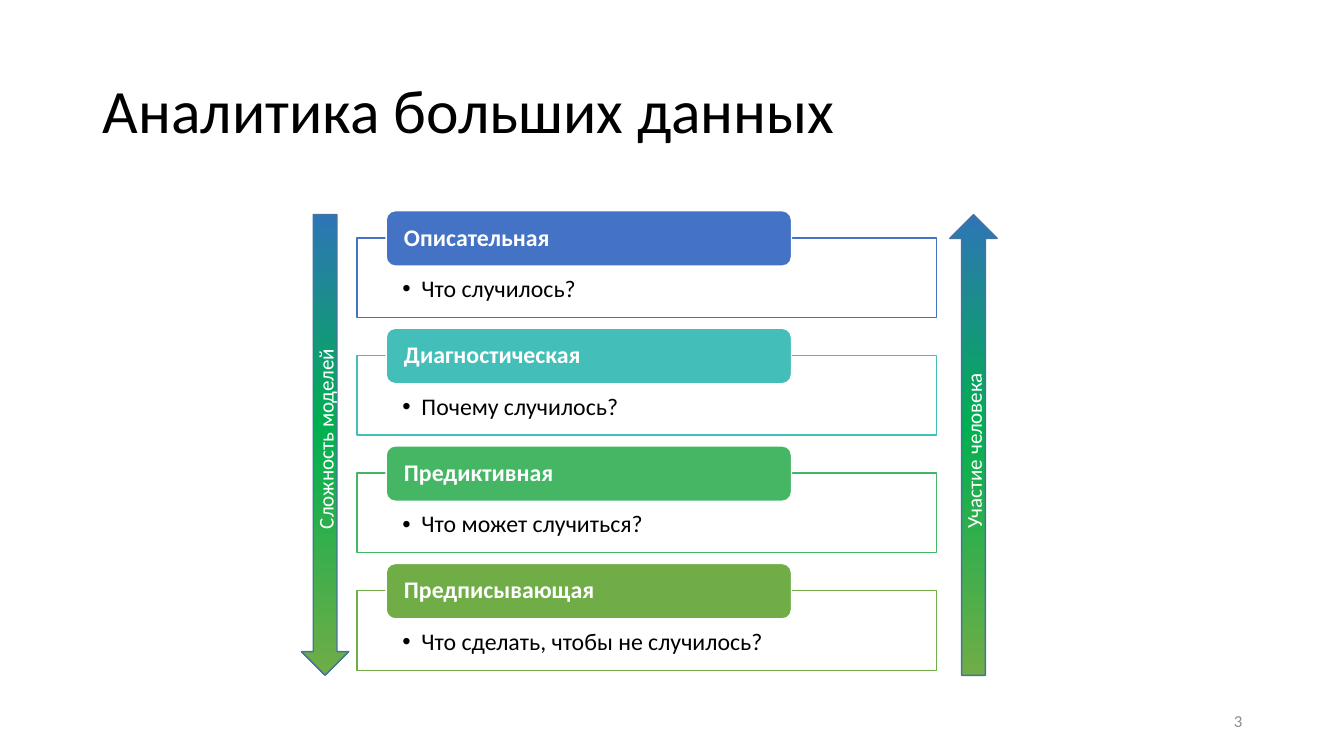
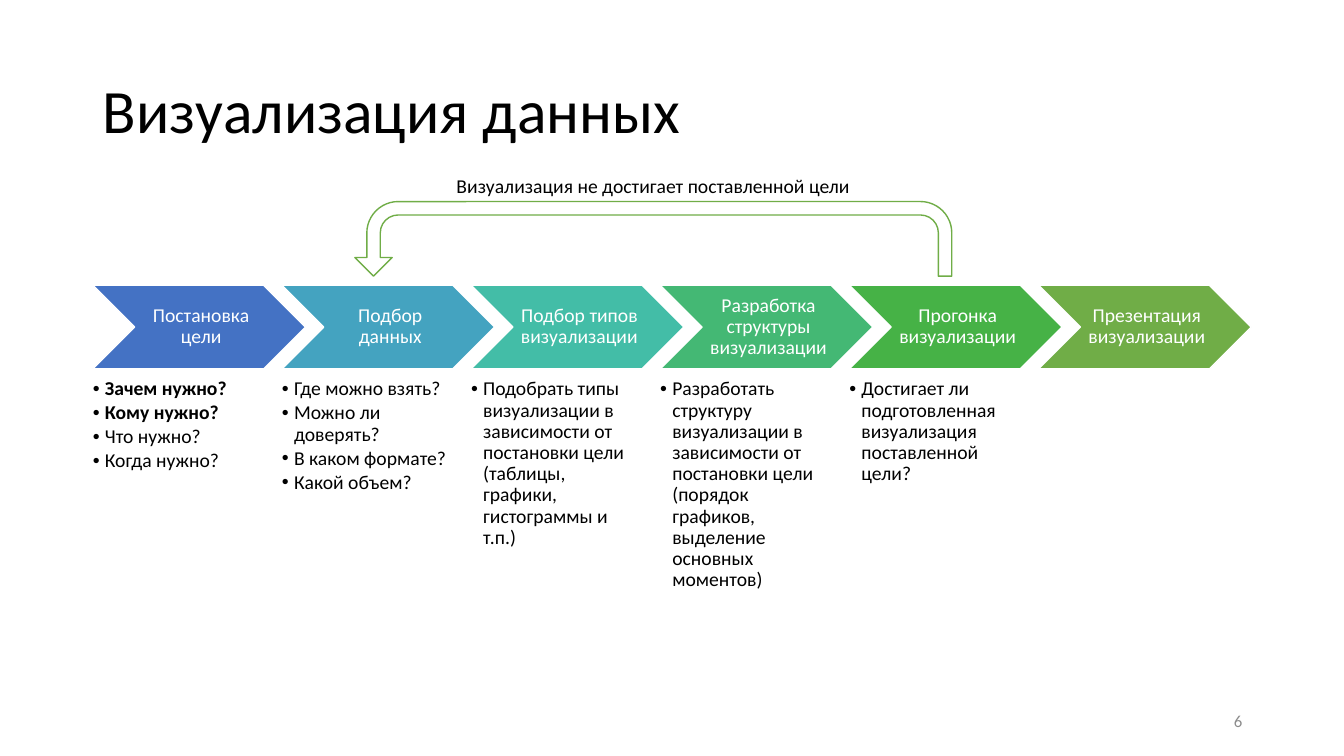
from dataclasses import dataclass

from lxml.etree import SubElement
from pptx import Presentation
from pptx.dml.color import RGBColor
from pptx.enum.shapes import MSO_SHAPE
from pptx.enum.text import MSO_ANCHOR, PP_ALIGN
from pptx.oxml.ns import qn
from pptx.util import Inches, Pt

LEFT, CENTER, RIGHT = PP_ALIGN.LEFT, PP_ALIGN.CENTER, PP_ALIGN.RIGHT
TOP, MIDDLE = MSO_ANCHOR.TOP, MSO_ANCHOR.MIDDLE
RECTANGLE, ROUNDED = MSO_SHAPE.RECTANGLE, MSO_SHAPE.ROUNDED_RECTANGLE
CHEVRON, DOWN_ARROW = MSO_SHAPE.CHEVRON, MSO_SHAPE.DOWN_ARROW
U_TURN_ARROW = MSO_SHAPE.U_TURN_ARROW


@dataclass(frozen=True)
class Theme:
    font: str = "Calibri"
    black: str = "000000"
    white: str = "FFFFFF"
    gray: str = "8C8C8C"
    green: str = "70AD47"
    arrow_line: str = "43739E"
    arrow_gradient: tuple = ((0, "2E75B6"), (46, "00B050"), (100, "70AD47"))
    level_colors: tuple = ("4472C4", "43BEB9", "45B664", "70AD47")
    step_colors: tuple = ("4472C4", "44A3C0", "43BDA7", "44B874", "46B246", "70AD47")
    title_size: int = 44
    level_size: int = 17
    arrow_size: int = 15
    step_size: int = 14
    number_size: int = 12


THEME = Theme()


def add_shape(slide, kind, box, fill, line):
    shape = slide.shapes.add_shape(kind, *map(Inches, box))
    shape.shadow.inherit = False
    if fill:
        shape.fill.solid()
        shape.fill.fore_color.rgb = RGBColor.from_string(fill)
    shape.line.color.rgb = RGBColor.from_string(line)
    shape.line.width = Pt(1)
    return shape


def write_text(shape, lines, size, color, align=LEFT, anchor=MIDDLE,
               margins=(0.1, 0.05, 0.1, 0.05), spacing=0.9, bold=0, hanging=0):
    frame = shape.text_frame
    frame.word_wrap = True
    frame.vertical_anchor = anchor
    frame.margin_left, frame.margin_top, frame.margin_right, frame.margin_bottom = map(Inches, margins)
    frame.text = "\n".join(lines)
    for index, paragraph in enumerate(frame.paragraphs):
        paragraph.alignment = align
        paragraph.line_spacing = spacing
        font = paragraph.font
        font.name, font.size, font.bold = THEME.font, Pt(size), index < bold
        font.color.rgb = RGBColor.from_string(color)
        if hanging:
            paragraph.space_after = Pt(2)
            properties = paragraph._p.get_or_add_pPr()
            properties.set("marL", str(Inches(hanging)))
            properties.set("indent", str(-Inches(hanging)))
            SubElement(properties, qn("a:buFont"), typeface="Arial")
            SubElement(properties, qn("a:buChar"), char="•")
            properties.append(properties.find(qn("a:defRPr")))


presentation = Presentation()
presentation.slide_width, presentation.slide_height = Inches(13.33), Inches(7.5)

slides = []
for title_text, number in (("Аналитика больших данных", "3"), ("Визуализация данных", "6")):
    slide = presentation.slides.add_slide(presentation.slide_layouts[5])
    title = slide.shapes.title
    title.left, title.top, title.width, title.height = map(Inches, (0.92, 0.4, 11.5, 1.45))
    write_text(title, [title_text], THEME.title_size, THEME.black)
    number_box = slide.shapes.add_textbox(*map(Inches, (9.42, 6.95, 3, 0.4)))
    write_text(number_box, [number], THEME.number_size, THEME.gray, RIGHT, spacing=1)
    slides.append(slide)
analytics, visualization = slides

levels = (
    ("Описательная", "Что случилось?"),
    ("Диагностическая", "Почему случилось?"),
    ("Предиктивная", "Что может случиться?"),
    ("Предписывающая", "Что сделать, чтобы не случилось?"),
)
level_pitch = 3.5 / 3
for index, ((heading, question), color) in enumerate(zip(levels, THEME.level_colors)):
    top = 2.09 + index * level_pitch
    panel = add_shape(analytics, RECTANGLE, (3.54, top + 0.27, 5.75, 0.79), THEME.white, color)
    write_text(panel, [question], THEME.level_size, THEME.black, anchor=TOP,
               margins=(0.45, 0.39, 0.45, 0.13), hanging=0.19)
    tab = add_shape(analytics, ROUNDED, (3.83, top, 4.02, 0.55), color, THEME.white)
    write_text(tab, [heading], THEME.level_size, THEME.white, margins=(0.15, 0, 0.15, 0), bold=1)

arrows = (
    ("Сложность моделей", 2.99, 0, "vert270", 90),
    ("Участие человека", 9.42, 180, "vert", 270),
)
for label, left, rotation, direction, angle in arrows:
    arrow = add_shape(analytics, DOWN_ARROW, (left, 2.13, 0.47, 4.57), None, THEME.arrow_line)
    arrow.rotation = rotation
    write_text(arrow, [label], THEME.arrow_size, THEME.white, CENTER, spacing=1)
    arrow.text_frame._txBody.bodyPr.set("vert", direction)
    properties = arrow._element.spPr
    gradient = SubElement(properties, qn("a:gradFill"), rotWithShape="1")
    stops = SubElement(gradient, qn("a:gsLst"))
    for position, color in THEME.arrow_gradient:
        stop = SubElement(stops, qn("a:gs"), pos=str(position * 1000))
        SubElement(stop, qn("a:srgbClr"), val=color)
    SubElement(gradient, qn("a:lin"), ang=str(angle * 60000), scaled="0")
    properties.find(qn("a:prstGeom")).addnext(gradient)

steps = (
    ("Постановка цели", ["Зачем нужно?", "Кому нужно?", "Что нужно?", "Когда нужно?"], 2),
    ("Подбор данных",
     ["Где можно взять?", "Можно ли доверять?", "В каком формате?", "Какой объем?"], 0),
    ("Подбор типов визуализации",
     ["Подобрать типы визуализации в зависимости от постановки цели "
      "(таблицы, графики, гистограммы и т.п.)"], 0),
    ("Разработка структуры визуализации",
     ["Разработать структуру визуализации в зависимости от постановки цели "
      "(порядок графиков, выделение основных моментов)"], 0),
    ("Прогонка визуализации",
     ["Достигает ли подготовленная визуализация поставленной цели?"], 0),
    ("Презентация визуализации", [], 0),
)
step_pitch = 9.38 / 5
for index, ((heading, details, bold_count), color) in enumerate(zip(steps, THEME.step_colors)):
    left = 0.92 + index * step_pitch
    chevron = add_shape(visualization, CHEVRON, (left, 2.83, 2.11, 0.83), color, THEME.white)
    write_text(chevron, [heading], THEME.step_size, THEME.white, CENTER,
               margins=(0.06, 0.02, 0.02, 0.02))
    if details:
        detail_box = visualization.shapes.add_textbox(*map(Inches, (left, 3.76, 1.69, 2.16)))
        write_text(detail_box, details, THEME.step_size, THEME.black, anchor=TOP,
                   margins=(0, 0, 0, 0), bold=bold_count, hanging=0.12)

return_arrow = add_shape(visualization, U_TURN_ARROW, (3.52, 2, 5.92, 0.74), THEME.white, THEME.green)
for index, value in enumerate((0.18, 0.25, 0.25, 0.42, 1)):
    return_arrow.adjustments[index] = value
return_arrow._element.spPr.find(qn("a:xfrm")).set("flipH", "1")

return_label = visualization.shapes.add_textbox(*map(Inches, (4.41, 1.68, 4.14, 0.34)))
write_text(return_label, ["Визуализация не достигает поставленной цели"],
           THEME.step_size, THEME.black, CENTER, TOP, spacing=1)

presentation.save("out.pptx")
